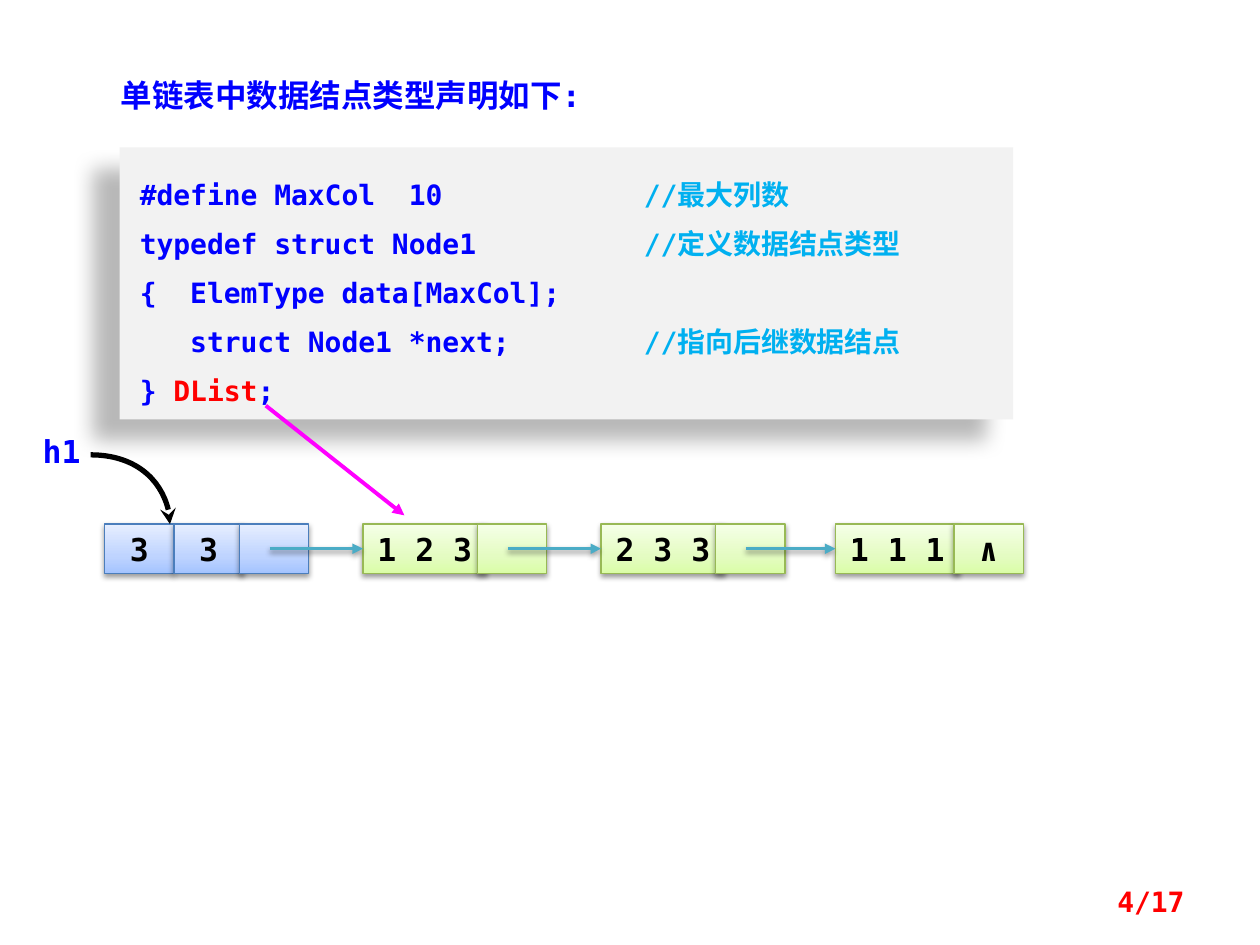
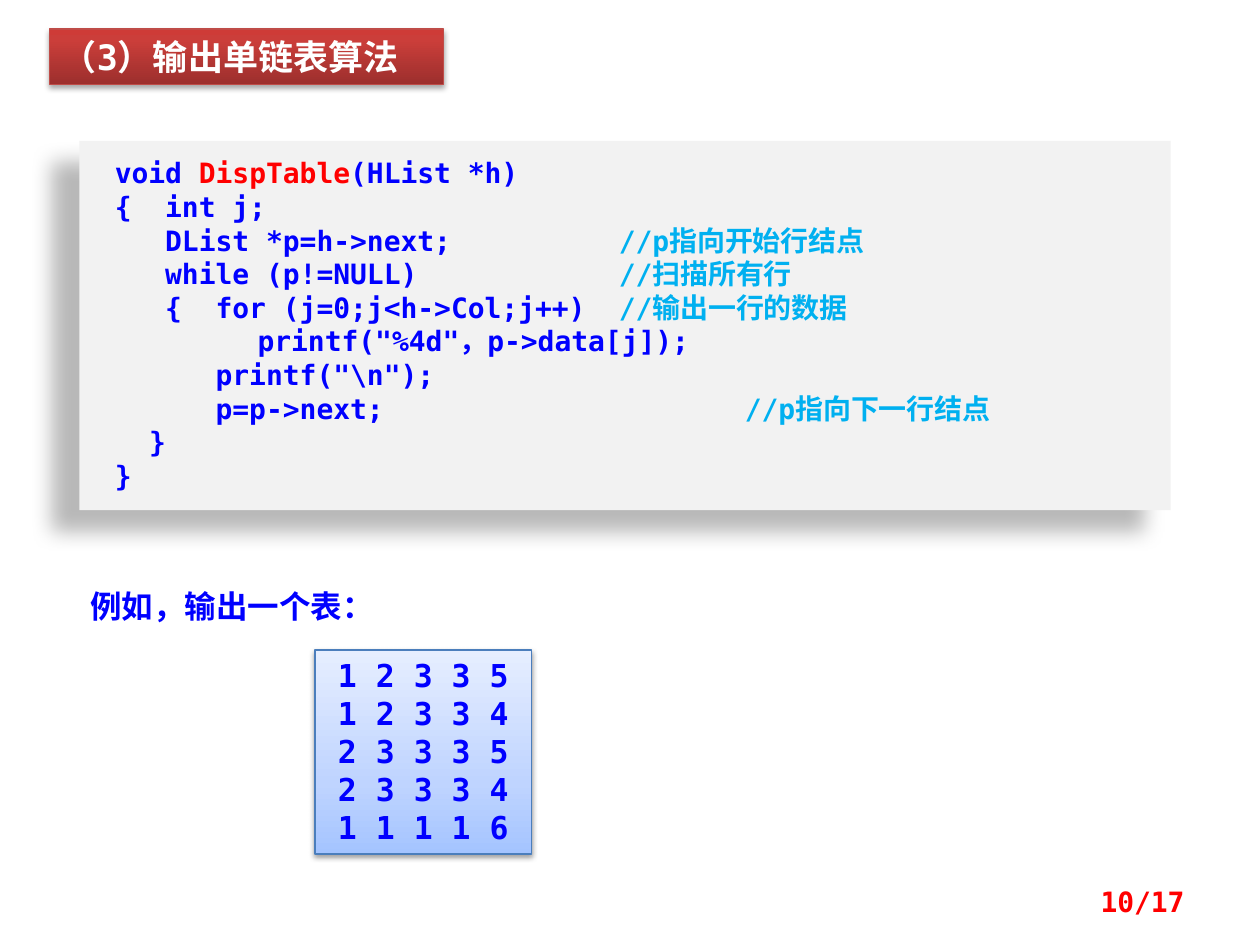
from lxml.etree import SubElement
from pptx import Presentation
from pptx.dml.color import RGBColor
from pptx.enum.shapes import MSO_CONNECTOR as Link, MSO_SHAPE as Shape
from pptx.enum.text import MSO_ANCHOR as Anchor, MSO_AUTO_SIZE as AutoSize, PP_ALIGN as Align
from pptx.oxml.ns import qn
from pptx.util import Pt

FONT = "DejaVu Sans Mono"
PAGE_COUNT = 17
COLOURS = {
    "blue": "0000FF", "sky": "00B0F0", "red": "FF0000", "black": "000000", "white": "FFFFFF",
    "panel": "F2F2F2", "magenta": "FF00FF", "link": "4BACC6",
    "head_line": "4B7EBC", "node_line": "98B955", "banner_line": "BF4C48",
}
GRADIENTS = {
    "head": [(0, "A4C4FF"), (35, "BFD4FF"), (100, "E6EEFF")],
    "node": [(0, "DAFDA7"), (35, "E4FCC2"), (100, "F5FFE7")],
    "banner": [(0, "9C2F2D"), (80, "CB3E3A"), (100, "CE3B37")],
}
SHADOWS = {
    "panel": (28, 11.8, 19.7, 141),
    "cell": (38, 3.1, 1.6, 90),
    "banner": (35, 3.1, 1.8, 90),
}

NODE_TYPE_CODE = [
    "#define MaxCol  10\t\t//最大列数",
    "typedef struct Node1\t\t//定义数据结点类型",
    "{  ElemType data[MaxCol];",
    "   struct Node1 *next;\t\t//指向后继数据结点",
    "} DList;",
]
DISPLAY_CODE = [
    "void DispTable(HList *h)",
    "{  int j;",
    "   DList *p=h->next;\t\t//p指向开始行结点",
    "   while (p!=NULL)\t\t//扫描所有行",
    "   {  for (j=0;j<h->Col;j++)\t//输出一行的数据",
    "\t printf(\"%4d\"，p->data[j]);",
    "      printf(\"\\n\");",
    "      p=p->next;\t\t\t//p指向下一行结点",
    "　 }",
    "}",
]
TABLE_ROWS = ["1 2 3 3 5", "1 2 3 3 4", "2 3 3 3 5", "2 3 3 3 4", "1 1 1 1 6"]
HEAD_CELLS = [("3", 0), ("3", 39.6), ("", 77)]
DATA_NODES = [("1 2 3", 147.6, 213.1, ""), ("2 3 3", 283.7, 349.2, ""), ("1 1 1", 417.6, 485.3, "∧")]


def rgb(name):
    return RGBColor.from_string(COLOURS[name])


def points(values):
    return [Pt(value) for value in values]


def set_shadow(item, name=None):
    effects = SubElement(item._element.spPr, qn("a:effectLst"))
    if name:
        alpha, blur, distance, angle = SHADOWS[name]
        shadow = SubElement(effects, qn("a:outerShdw"), blurRad=str(Pt(blur)), dist=str(Pt(distance)),
                            dir=str(angle * 60000), algn="ctr", rotWithShape="0")
        colour = SubElement(shadow, qn("a:srgbClr"), val=COLOURS["black"])
        SubElement(colour, qn("a:alpha"), val=str(alpha * 1000))


def set_gradient(shape, name):
    shape.fill.gradient()
    shape.fill.gradient_angle = 90
    stops = shape._element.spPr.find(qn("a:gradFill")).find(qn("a:gsLst"))
    for stop in list(stops):
        stops.remove(stop)
    for position, colour in GRADIENTS[name]:
        stop = SubElement(stops, qn("a:gs"), pos=str(position * 1000))
        SubElement(stop, qn("a:srgbClr"), val=colour)
    set_line(shape, f"{name}_line", 0.75)


def set_line(item, colour, width, arrow=None):
    item.line.color.rgb = rgb(colour)
    item.line.width = Pt(width)
    if arrow:
        SubElement(item.line._get_or_add_ln(), qn("a:tailEnd"), type=arrow)


def set_font(para, colour, size, align):
    para.alignment = align
    para.font.name = FONT
    para.font.size = Pt(size)
    para.font.bold = True
    para.font.color.rgb = rgb(colour)


def write(shape, lines, colour="blue", size=18, align=Align.LEFT, anchor=Anchor.TOP, wrap=True):
    frame = shape.text_frame
    frame.word_wrap = wrap
    frame.vertical_anchor = anchor
    frame.text = "\n".join(lines)
    for para in frame.paragraphs:
        set_font(para, colour, size, align)


def add_label(page, box, text, **style):
    write(page.shapes.add_textbox(*points(box)), [text], **style)


def add_title(page, box, text, **style):
    title = page.shapes.title
    title.left, title.top, title.width, title.height = points(box)
    write(title, [text], **style)
    title.text_frame.auto_size = AutoSize.NONE
    return title


def add_page_number(page, number):
    add_label(page, (516.2, 500.4, 167.8, 28.8), f"{number}/{PAGE_COUNT}",
              colour="red", size=16, align=Align.RIGHT, anchor=Anchor.MIDDLE)


def add_code_panel(page, box, lines, keyword, side_inset, spacing=None):
    panel = page.shapes.add_shape(Shape.RECTANGLE, *points(box))
    panel.fill.solid()
    panel.fill.fore_color.rgb = rgb("panel")
    panel.line.fill.background()
    set_shadow(panel, "panel")
    frame = panel.text_frame
    frame.word_wrap = True
    frame.vertical_anchor = Anchor.TOP
    frame.margin_left = frame.margin_right = Pt(side_inset)
    frame.margin_top = frame.margin_bottom = Pt(8.6)
    for index, line in enumerate(lines):
        para = frame.add_paragraph() if index else frame.paragraphs[0]
        tabs = SubElement(para._p.get_or_add_pPr(), qn("a:tabLst"))
        for stop in range(1, 7):
            SubElement(tabs, qn("a:tab"), pos=str(Pt(72 * stop)), algn="l")
        set_font(para, "blue", 16, Align.LEFT)
        if spacing:
            para.line_spacing = Pt(spacing)
        code, slashes, comment = line.partition("//")
        before, word, after = code.partition(keyword)
        for text, colour in [(before, "blue"), (word, "red"), (after, "blue"), (slashes + comment, "sky")]:
            if text:
                span = para.add_run()
                span.text = text
                span.font.color.rgb = rgb(colour)


def add_block(page, box, gradient, lines, **style):
    block = page.shapes.add_shape(Shape.RECTANGLE, *points(box))
    set_gradient(block, gradient)
    set_shadow(block, "cell")
    if any(lines):
        write(block, lines, align=Align.CENTER, **style)
    return block


def add_arrow(page, start, end, colour, width, shadow=None):
    arrow = page.shapes.add_connector(Link.STRAIGHT, *points(start + end))
    set_line(arrow, colour, width, "triangle")
    set_shadow(arrow, shadow)
    return arrow


def add_head_curve(page, box):
    left, top, width, height = points(box)
    builder = page.shapes.build_freeform(left, top)
    builder.add_line_segments([(left + width, top + height)], close=False)
    curve = builder.convert_to_shape()
    curve.fill.background()
    set_line(curve, "black", 3, "stealth")
    set_shadow(curve)
    segment = next(curve._element.iter(qn("a:lnTo")))
    route = segment.getparent()
    route.remove(segment)
    bezier = SubElement(route, qn("a:cubicBezTo"))
    for across, down in [(0.55, 0), (1, 0.45), (1, 1)]:
        SubElement(bezier, qn("a:pt"), x=str(int(width * across)), y=str(int(height * down)))


def add_linked_list(page, left, top):
    height, small, wide = 28.1, 39.6, 70.6
    cell_style = {"colour": "black", "anchor": Anchor.MIDDLE, "wrap": False}

    def add_cell(offset, width, gradient, text):
        return add_block(page, (left + offset, top, width, height), gradient, [text], **cell_style)

    for text, offset in HEAD_CELLS:
        add_cell(offset, small, "head", text)
    pointer_left = HEAD_CELLS[-1][1]
    for values, data_left, next_left, mark in DATA_NODES:
        data = add_cell(data_left, wide, "node", values)
        add_cell(next_left, small, "node", mark)
        middle = top + height / 2
        arrow = add_arrow(page, (left + pointer_left + 17.3, middle), (left + data_left, middle),
                          "link", 2, "cell")
        arrow.end_connect(data, 1)
        pointer_left = next_left
    add_label(page, (left - 42.5, top - 56.2, 51.1, 28.8), "h1")
    add_head_curve(page, (left - 8, top - 39.6, 45.4, 39.6))


def build_node_type_page(page):
    add_title(page, (61.9, 39.6, 461.5, 28.8), "单链表中数据结点类型声明如下:")
    add_code_panel(page, (68.4, 84.2, 510.5, 155.5), NODE_TYPE_CODE, "DList", 11.5, 28)
    add_linked_list(page, 59.8, 299.5)
    add_arrow(page, (151.9, 231.8), (231.1, 294.5), "magenta", 2.25)
    add_page_number(page, 4)


def build_display_page(page):
    banner = add_title(page, (28.1, 16.6, 225.4, 31.7), "（3）输出单链表算法", colour="white", size=20)
    set_gradient(banner, "banner")
    set_shadow(banner, "banner")
    add_code_panel(page, (45.4, 80.6, 623.5, 211), DISPLAY_CODE, "DispTable", 20.2)
    add_block(page, (180, 371.5, 123.8, 116.6), "head", TABLE_ROWS)
    add_label(page, (44.6, 331.9, 191.5, 28.8), "例如，输出一个表：")
    add_page_number(page, 10)


def main():
    deck = Presentation()
    deck.slide_width, deck.slide_height = Pt(720), Pt(540)
    for build in (build_node_type_page, build_display_page):
        build(deck.slides.add_slide(deck.slide_layouts[5]))
    deck.save("out.pptx")


if __name__ == "__main__":
    main()
